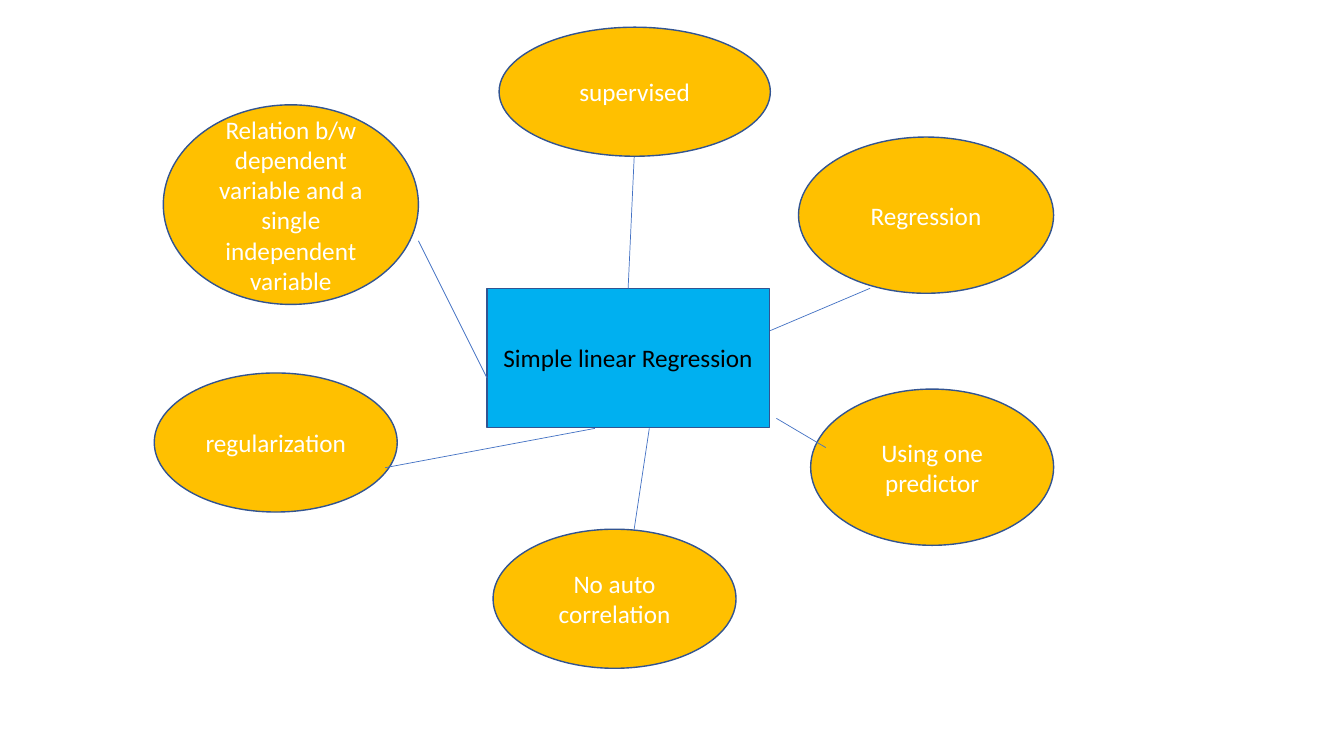
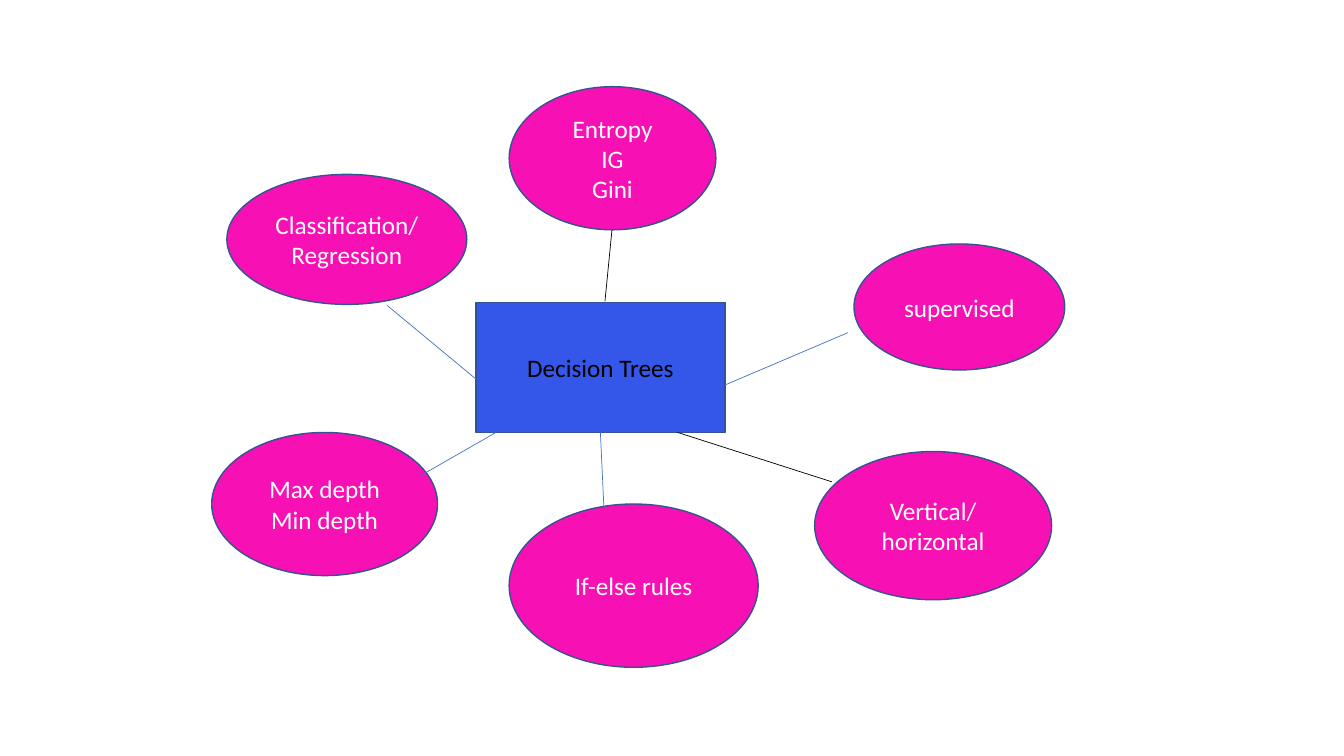
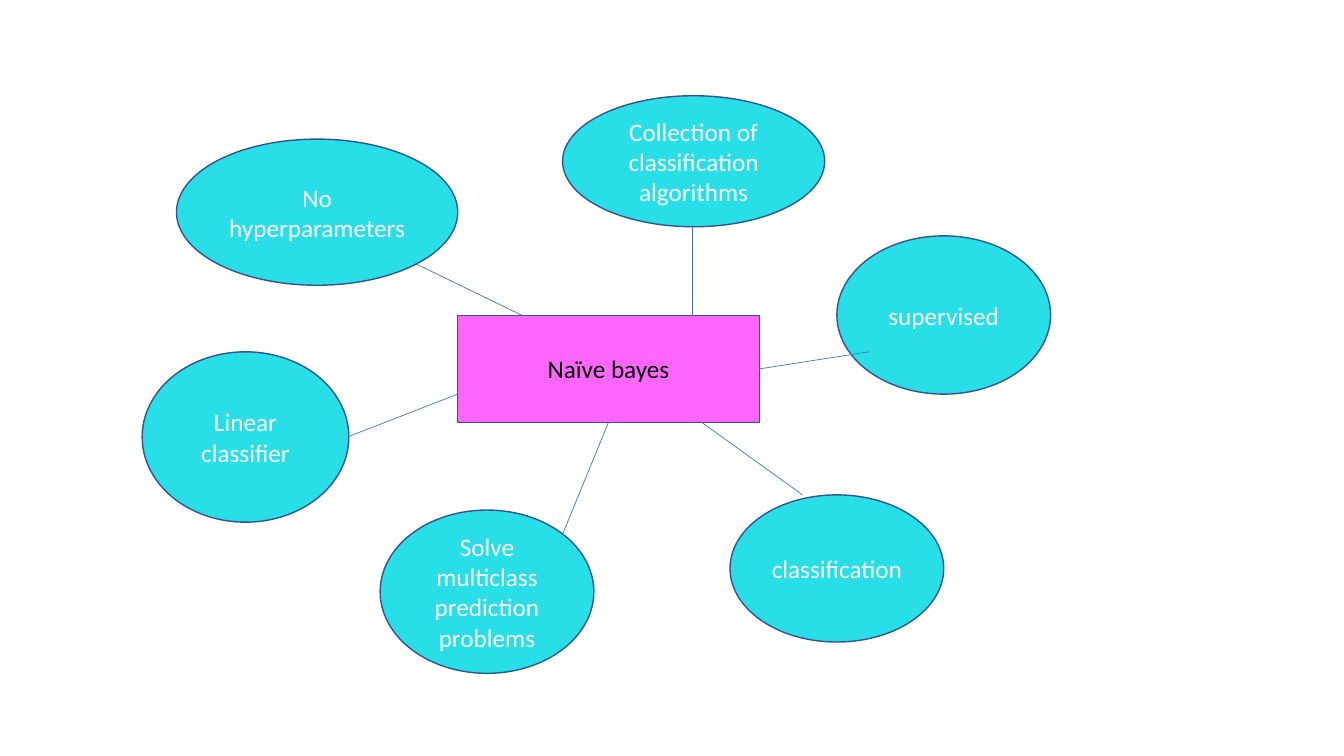
from dataclasses import dataclass
from typing import NamedTuple, Optional

from lxml.etree import SubElement
from pptx import Presentation
from pptx.dml.color import RGBColor
from pptx.enum.shapes import MSO_CONNECTOR, MSO_SHAPE
from pptx.enum.text import MSO_ANCHOR, PP_ALIGN
from pptx.oxml.ns import qn
from pptx.shapes.autoshape import Shape
from pptx.slide import Slide
from pptx.text.text import TextFrame
from pptx.util import Emu, Pt

SCALE = 9144
WIDTH, HEIGHT = 1333, 750
FONT = "Calibri"
TOP, BOTTOM, RIGHT = 0, 2, 3

COLORS = {
    "black": "000000",
    "white": "FFFFFF",
    "border": "325491",
    "link": "4472C4",
    "sky": "00B0F0",
    "gold": "FFC000",
    "blue": "3457EA",
    "pink": "F711B5",
    "orchid": "FF66FF",
    "aqua": "28DFE8",
}


class Node(NamedTuple):
    text: str
    left: int
    top: int
    width: int
    height: int


class Link(NamedTuple):
    hub: tuple[int, int]
    tip: tuple[int, int]
    side: Optional[int] = None
    color: str = "link"


@dataclass
class Map:
    hub: Node
    hub_fill: str
    leaf_fill: str
    leaves: list[Node]
    links: list[Link]


MAPS = [
    Map(
        Node("Simple linear Regression", 483, 286, 280, 138), "sky", "gold",
        [
            Node("supervised", 495, 27, 269, 128),
            Node("Regression", 792, 136, 253, 155),
            Node("Using one predictor", 804, 386, 241, 155),
            Node("No auto correlation", 489, 525, 241, 138),
            Node("regularization", 153, 370, 241, 138),
            Node("Relation b/w dependent variable and a single independent variable",
                 162, 104, 253, 198),
        ],
        [
            Link((624, 286), (629, 156), TOP),
            Link((483, 375), (415, 239)),
            Link((590, 425), (382, 464)),
            Link((644, 425), (629, 525)),
            Link((770, 415), (819, 444)),
            Link((764, 328), (863, 286)),
        ],
    ),
    Map(
        Node("Decision Trees", 472, 300, 247, 129), "blue", "pink",
        [
            Node("If-else rules", 505, 500, 247, 162),
            Node("Classification/\nRegression", 225, 173, 238, 129),
            Node("Entropy\nIG\nGini", 505, 86, 205, 142),
            Node("Max depth\nMin depth", 210, 429, 224, 142),
            Node("Vertical/\nhorizontal", 808, 448, 235, 147),
            Node("supervised", 847, 242, 209, 125),
        ],
        [
            Link((472, 376), (384, 303)),
            Link((600, 299), (607, 228), color="black"),
            Link((719, 382), (841, 330)),
            Link((672, 429), (825, 478), color="black"),
            Link((596, 429), (599, 504), BOTTOM),
            Link((492, 429), (417, 472)),
        ],
    ),
    Map(
        Node("Naïve bayes", 454, 313, 299, 106), "orchid", "aqua",
        [
            Node("Collection of classification algorithms", 558, 95, 260, 130),
            Node("supervised", 830, 234, 212, 157),
            Node("classification", 724, 491, 212, 146),
            Node("Solve multiclass prediction problems", 377, 506, 212, 162),
            Node("Linear classifier", 141, 349, 205, 169),
            Node("No hyperparameters", 175, 138, 279, 145),
        ],
        [
            Link((518, 313), (413, 262)),
            Link((454, 391), (346, 433)),
            Link((603, 419), (558, 530), BOTTOM),
            Link((696, 419), (796, 491)),
            Link((753, 366), (862, 349), RIGHT),
            Link((687, 313), (687, 225)),
        ],
    ),
]


def px(value: int) -> Emu:
    return Emu(value * SCALE)


def paint(name: str) -> RGBColor:
    return RGBColor.from_string(COLORS[name])


def write(frame: TextFrame, text: str, *, color: str = "white", size: int = 18,
          font: str = FONT, align: PP_ALIGN = PP_ALIGN.CENTER) -> None:
    frame.word_wrap = True
    frame.vertical_anchor = MSO_ANCHOR.MIDDLE
    for index, line in enumerate(text.split("\n")):
        para = frame.add_paragraph() if index else frame.paragraphs[0]
        para.alignment = align
        run = para.add_run()
        run.text = line
        run.font.name = font
        run.font.size = Pt(size)
        run.font.color.rgb = paint(color)


def add_node(slide: Slide, node: Node, kind: MSO_SHAPE, fill: str, color: str) -> Shape:
    shape = slide.shapes.add_shape(kind, *map(px, node[1:]))
    shape.shadow.inherit = False
    shape.fill.solid()
    shape.fill.fore_color.rgb = paint(fill)
    shape.line.color.rgb = paint("border")
    shape.line.width = Pt(1)
    write(shape.text_frame, node.text, color=color)
    return shape


def add_link(slide: Slide, link: Link, hub: Shape) -> None:
    line = slide.shapes.add_connector(
        MSO_CONNECTOR.STRAIGHT, *map(px, link.hub + link.tip))
    line.line.color.rgb = paint(link.color)
    line.line.width = Pt(0.5)
    SubElement(line._element.spPr, qn("a:effectLst"))
    if link.side is not None:
        line.begin_connect(hub, link.side)


def draw(slide: Slide, chart: Map) -> None:
    hub = add_node(slide, chart.hub, MSO_SHAPE.RECTANGLE, chart.hub_fill, "black")
    for leaf in chart.leaves:
        add_node(slide, leaf, MSO_SHAPE.OVAL, chart.leaf_fill, "white")
    for link in chart.links:
        add_link(slide, link, hub)


def main() -> None:
    deck = Presentation()
    deck.slide_width, deck.slide_height = px(WIDTH), px(HEIGHT)
    for chart in MAPS:
        draw(deck.slides.add_slide(deck.slide_layouts[6]), chart)
    deck.save("out.pptx")


if __name__ == "__main__":
    main()
